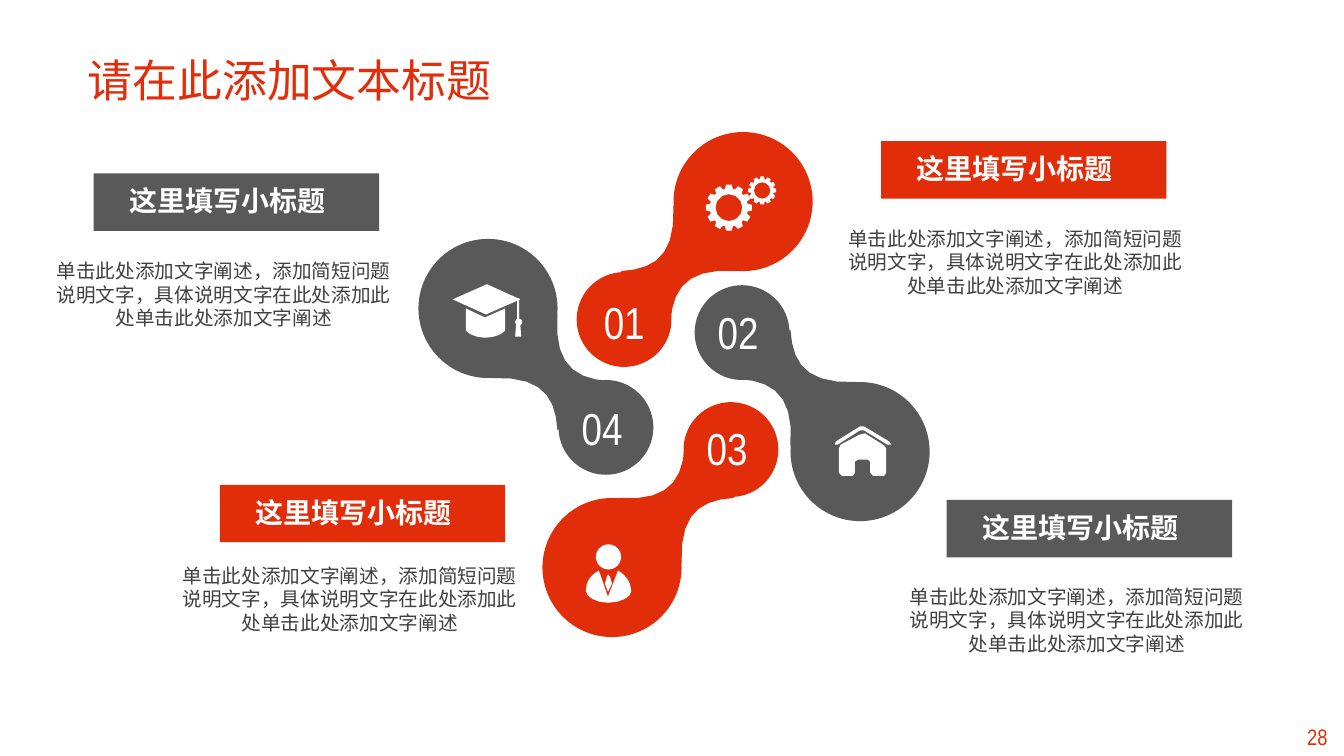
from math import cos, sin, radians

from lxml.etree import SubElement
from pptx import Presentation
from pptx.dml.color import RGBColor
from pptx.enum.shapes import MSO_SHAPE as SHAPE
from pptx.enum.text import MSO_ANCHOR as ANCHOR, PP_ALIGN as ALIGN
from pptx.oxml.ns import qn
from pptx.util import Pt

PX = 9144  # 100 px to the inch
RED = RGBColor(0xE1, 0x2D, 0x09)
GRAY = RGBColor(0x59, 0x59, 0x59)
DARK = RGBColor(0x40, 0x40, 0x40)
WHITE = RGBColor(0xFF, 0xFF, 0xFF)
CJK, NARROW = "Noto Sans CJK SC", "Arial Narrow"
LABEL = "这里填写小标题"
BODY = "单击此处添加文字阐述，添加简短问题说明文字，具体说明文字在此处添加此处单击此处添加文字阐述"


def paint(sp, color):
    sp.shadow.inherit = False
    sp.fill.solid()
    sp.fill.fore_color.rgb = color
    sp.line.fill.background()
    return sp


def write(sp, text, size, color, font, align=ALIGN.LEFT, spacing=None,
          margins=(10, 5), anchor=ANCHOR.TOP):
    tf = sp.text_frame
    tf.word_wrap = True
    tf.vertical_anchor = anchor
    tf.margin_left = tf.margin_right = margins[0] * PX
    tf.margin_top = tf.margin_bottom = margins[1] * PX
    p = tf.paragraphs[0]
    p.text = text
    p.alignment = align
    if spacing:
        p.line_spacing = Pt(spacing)
    p.font.size = Pt(size)
    p.font.color.rgb = color
    p.font.name = font
    SubElement(p.font._rPr, qn("a:ea")).set("typeface", font)
    return p


prs = Presentation()
prs.slide_width, prs.slide_height = 1333 * PX, 750 * PX
s = prs.slides.add_slide(prs.slide_layouts[5])

# Title and page number
title = s.shapes.title
title.left, title.top, title.width, title.height = (v * PX for v in (77, 47, 511, 64))
write(title, "请在此添加文本标题", 32, RED, CJK, anchor=ANCHOR.MIDDLE)
page = s.shapes.add_textbox(1279 * PX, 713 * PX, 55 * PX, 37 * PX)
write(page, "28", 16, RED, NARROW, ALIGN.CENTER)

# Four linked circle pairs, each a quarter turn from the one before:
# color, large centre, number corner, label corner, body corner
items = [
    (RED, (737, 200), (589, 287), (874, 140), (819, 225)),
    (GRAY, (853, 448), (702, 297), (939, 496), (880, 580)),
    (RED, (607, 563), (691, 412), (218, 481), (159, 559)),
    (GRAY, (484, 306), (567, 393), (93, 172), (34, 257)),
]
SMALL = (-118, 117)
# A point is a line end; three points make a curve
BRIDGE = [[(-6, 69)], [(-55, 65), (-70, 86), (-72, 120)], [(-121, 69)],
          [(-88, 67), (-67, 54), (-69, 4)]]
outlines = []  # (color, contours)
a, b = 1, 0  # cosine and sine of the turn
for color, (cx, cy), *_ in items:
    sx, sy = cx + a * SMALL[0] - b * SMALL[1], cy + b * SMALL[0] + a * SMALL[1]
    for x, y, radius in ((cx, cy, 69), (sx, sy, 47)):
        paint(s.shapes.add_shape(SHAPE.OVAL, (x - radius) * PX, (y - radius) * PX,
                                 2 * radius * PX, 2 * radius * PX), color)
    outlines.append((color, [[[(cx + a * x - b * y, cy + b * x + a * y) for x, y in step]
                              for step in BRIDGE]]))
    a, b = -b, a

# Gears: twelve teeth around a round hole
for cx, cy, radius in ((723, 206, 23), (756, 189, 14)):
    teeth = [(t * 30 + angle, radius * part) for t in range(12)
             for angle, part in ((-12, 0.82), (-7, 1), (7, 1), (12, 0.82))]
    hole = [(-angle, radius * 0.58) for angle in range(0, 360, 30)]
    outlines.append((WHITE, [[[(cx + r * cos(radians(t)), cy + r * sin(radians(t)))]
                              for t, r in ring] for ring in (teeth, hole)]))

# House, person and graduation cap
house = [[(858, 430)], [(853, 431)], [(834, 441)], [(832, 445)], [(832, 469)],
         [(835, 472)], [(846, 472)], [(848, 469)], [(848, 458)], [(851, 456)],
         [(861, 456)], [(863, 458)], [(863, 469)], [(866, 472)], [(877, 472)],
         [(879, 469)], [(879, 445)], [(877, 442)]]
roof = [[(884, 441)], [(880, 441)], [(857, 427)], [(853, 427)], [(831, 441)],
        [(828, 441)], [(829, 438)], [(853, 423)], [(857, 423)], [(882, 438)]]
coat = [[(626, 586)], [(626, 577), (620, 570), (613, 566)], [(603, 592)], [(594, 566)],
        [(586, 570), (581, 577), (581, 586)], [(581, 592), (591, 598), (603, 598)],
        [(616, 598), (626, 592), (626, 587)]]
tie = [[(605, 572)], [(603, 570)], [(602, 572)], [(600, 579)], [(603, 587)], [(607, 579)]]
board = [[(482, 312)], [(449, 297)], [(483, 282)], [(516, 297)]]
cap = [[(501, 306)], [(481, 315)], [(462, 306)], [(462, 328)],
       [(467, 334), (478, 335), (481, 335)], [(485, 335), (496, 334), (501, 328)]]
tassel = [[(512, 320)], [(511, 334)], [(517, 334)], [(516, 320)]]
outlines += [(WHITE, [icon]) for icon in (house, roof, coat, tie, board, cap, tassel)]

# Draw every outline, with each curve cut into a few steps
for color, contours in outlines:
    steps = 4 if color == WHITE else 7
    builder = None
    for contour in contours:
        points = []
        for step in contour:
            if len(step) == 1:
                points += step
                continue
            p0, p1, p2, p3 = points[-1], *step
            points += [tuple((1 - t) ** 3 * e + 3 * (1 - t) ** 2 * t * f
                             + 3 * (1 - t) * t ** 2 * g + t ** 3 * h
                             for e, f, g, h in zip(p0, p1, p2, p3))
                       for t in (i / steps for i in range(1, steps + 1))]
        points = [(round(x * PX), round(y * PX)) for x, y in points]
        if builder is None:
            builder = s.shapes.build_freeform(*points[0], scale=1.0)
        else:
            builder.move_to(*points[0])
        builder.add_line_segments(points[1:], close=True)
    paint(builder.convert_to_shape(), color)

# Head, tassel cord and tassel knot
for kind, *box in ((SHAPE.OVAL, 591, 540, 25, 25), (SHAPE.RECTANGLE, 513, 296, 2, 22),
                   (SHAPE.OVAL, 511, 316, 7, 7)):
    paint(s.shapes.add_shape(kind, *(v * PX for v in box)), WHITE)

# Numbers, labels and body texts
for number, (color, _, (nx, ny), (lx, ly), (bx, by)) in enumerate(items, 1):
    box = s.shapes.add_textbox(nx * PX, ny * PX, 67 * PX, 64 * PX)
    write(box, f"{number:02}", 32, WHITE, NARROW)
    label = paint(s.shapes.add_shape(SHAPE.RECTANGLE, lx * PX, ly * PX,
                                     283 * PX, 57 * PX), color)
    p = write(label, LABEL, 20, WHITE, CJK, ALIGN.JUSTIFY, 20.5, (35, 15))
    p.font.bold = True
    body = s.shapes.add_textbox(bx * PX, by * PX, 376 * PX, 82 * PX)
    write(body, BODY, 14, DARK, CJK, ALIGN.CENTER, 16.8, (17, 0))

prs.save("out.pptx")
